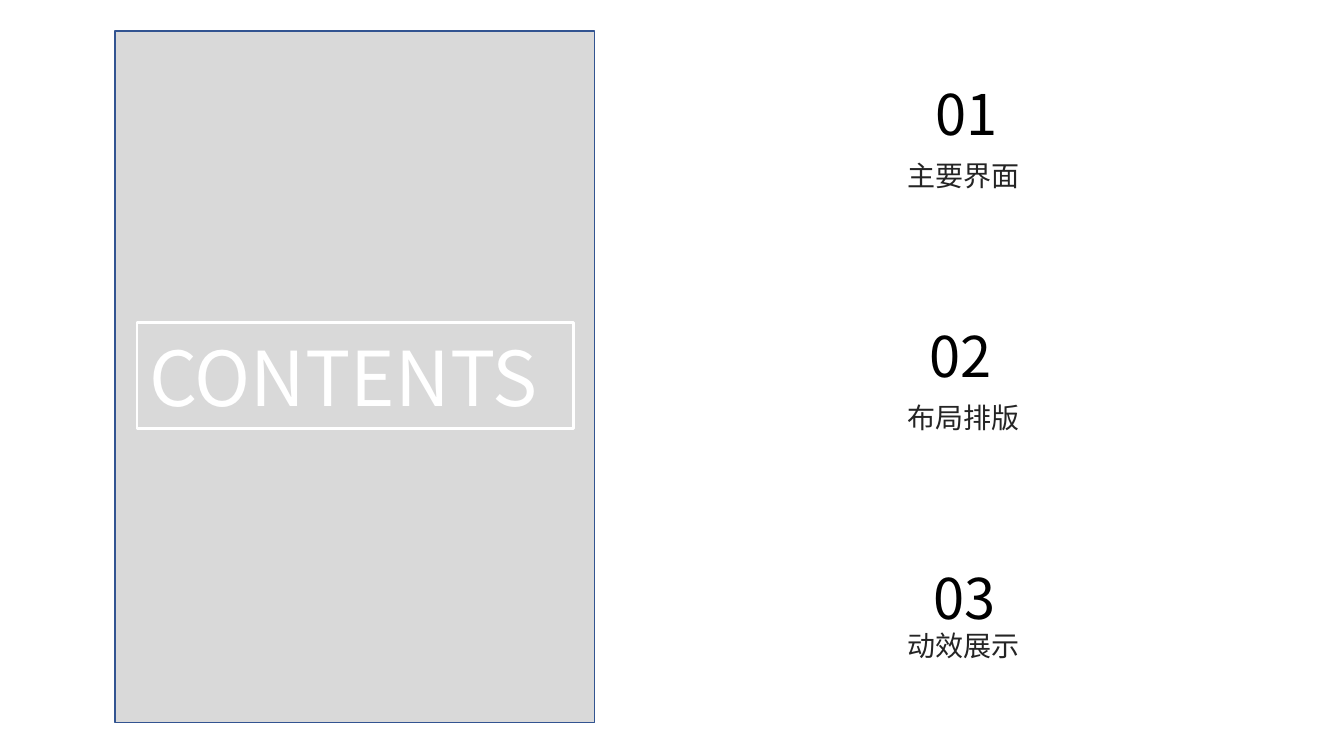
from pptx import Presentation
from pptx.dml.color import RGBColor as Rgb
from pptx.enum.shapes import MSO_SHAPE as Shape
from pptx.enum.text import MSO_AUTO_SIZE as Auto, PP_ALIGN as Align
from pptx.util import Emu, Pt
from lxml.etree import SubElement
from pptx.oxml.ns import qn

PX = 9144  # 100 px to the inch
FONT = "Noto Sans CJK SC"
COLORS = {
    "panel": "D9D9D9",
    "edge": "325491",
    "white": "FFFFFF",
    "label": "242424",
    "number": "000000",
}


class Page:
    def __init__(self, deck):
        self.slide = deck.slides.add_slide(deck.slide_layouts[6])

    def color(self, name):
        return Rgb.from_string(COLORS[name])

    def rect(self, box, line, width, fill=None):
        shape = self.slide.shapes.add_shape(
            Shape.RECTANGLE, *[Emu(n * PX) for n in box])
        shape.shadow.inherit = False
        if fill:
            shape.fill.solid()
            shape.fill.fore_color.rgb = self.color(fill)
        else:
            shape.fill.background()
        shape.line.color.rgb = self.color(line)
        shape.line.width = Pt(width)

    def text(self, box, words, size, color, align=Align.CENTER, group=None):
        shapes = (group or self.slide).shapes
        frame = shapes.add_textbox(*[Emu(n * PX) for n in box]).text_frame
        frame.word_wrap = True
        frame.auto_size = Auto.SHAPE_TO_FIT_TEXT
        para = frame.paragraphs[0]
        para.text = words
        para.alignment = align
        font = para.font
        font.size = Pt(size)
        font.name = FONT
        font.color.rgb = self.color(color)
        # East Asian typeface
        props = para.runs[0].font._element
        SubElement(props, qn("a:ea"), typeface=FONT)

    def item(self, number, num_box, label, top):
        group = self.slide.shapes.add_group_shape()
        self.text(num_box, number, 40, "number", group=group)
        self.text((789, top, 334, 44), label, 20, "label", group=group)


def main():
    deck = Presentation()
    deck.slide_width, deck.slide_height = Emu(1333 * PX), Emu(750 * PX)
    page = Page(deck)

    # Left panel with framed title
    page.rect((114, 31, 476, 686), "edge", 1, "panel")
    page.text((138, 323, 443, 101), "CONTENTS", 54, "white", Align.LEFT)
    page.rect((136, 320, 433, 105), "white", 1.75)

    # Numbered contents
    page.item("01", (908, 74, 101, 77), "主要界面", 152)
    page.item("02", (904, 314, 97, 77), "布局排版", 392)
    page.item("03", (908, 554, 97, 77), "动效展示", 619)

    deck.save("out.pptx")


if __name__ == "__main__":
    main()
